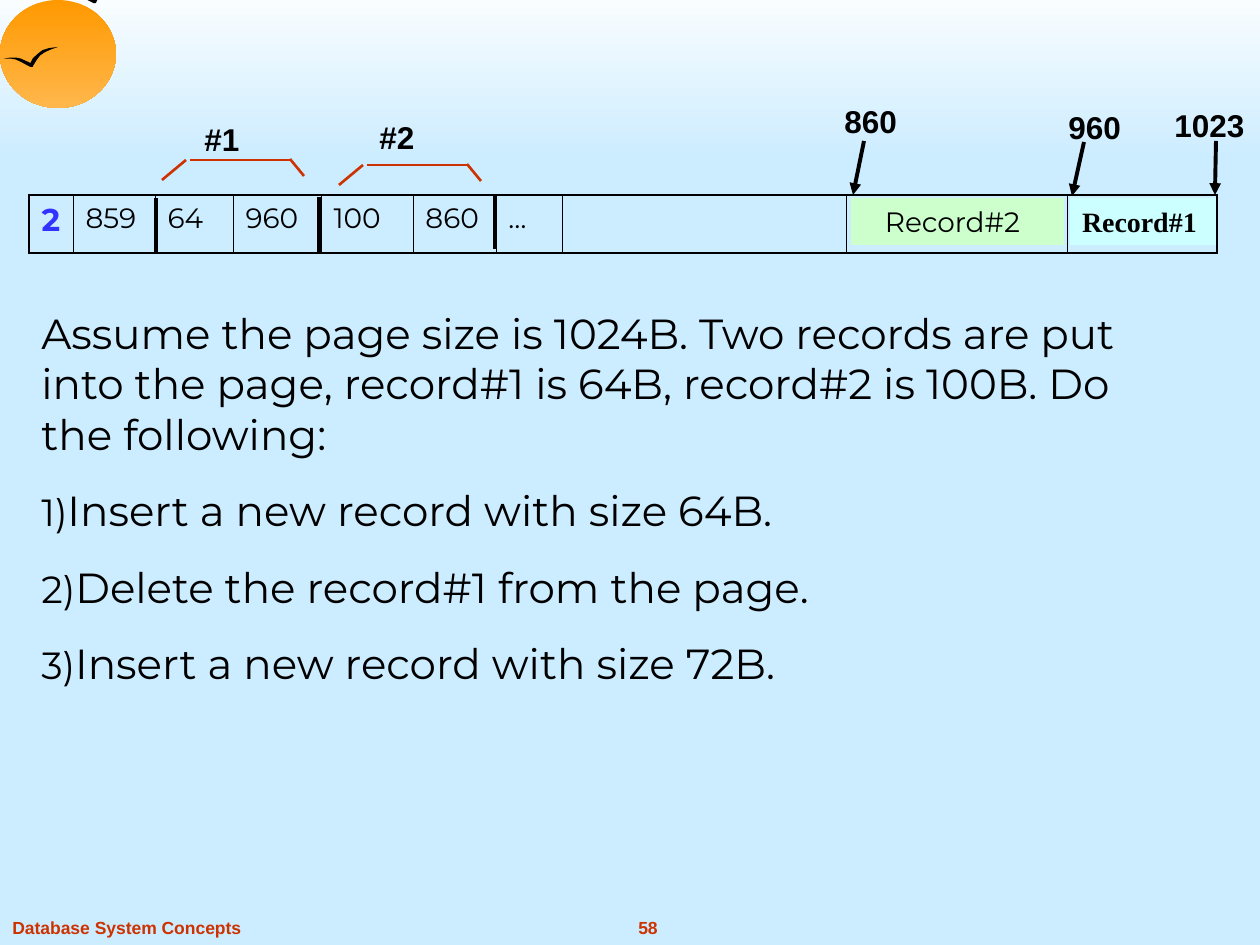
from lxml import etree
from pptx import Presentation
from pptx.dml.color import RGBColor
from pptx.enum.shapes import MSO_CONNECTOR, MSO_SHAPE
from pptx.enum.text import MSO_ANCHOR, MSO_AUTO_SIZE, PP_ALIGN
from pptx.oxml.ns import qn
from pptx.util import Pt

PX = 914400 / 126
STRAIGHT = MSO_CONNECTOR.STRAIGHT
RECT, OVAL = MSO_SHAPE.RECTANGLE, MSO_SHAPE.OVAL
TOP, GROW = MSO_ANCHOR.TOP, MSO_AUTO_SIZE.SHAPE_TO_FIT_TEXT
LEFT, CENTER = PP_ALIGN.LEFT, PP_ALIGN.CENTER

COLORS = {
    "sky": "CCECFF", "white": "FFFFFF", "sun": "FF9900", "sun_low": "FFB74C",
    "black": "000000", "red": "CC3300", "blue": "3333FF",
    "green": "CCFFCC", "cyan": "CCFFFF",
}
FOOTER = {"name": "Arial", "size": Pt(10), "bold": True, "color": "red"}
LABEL = {"name": "Arial", "size": Pt(18), "bold": True, "color": "black"}
CELL = {"name": "Montserrat", "size": Pt(16), "bold": False, "color": "black"}
COUNT = {"name": "Montserrat", "size": Pt(18), "bold": True, "color": "blue"}
RECORD = {"name": "Times New Roman", "size": Pt(16), "bold": True, "color": "black"}
BODY = {"name": "Montserrat", "size": Pt(24), "bold": False, "color": "black"}

BIRD = [(0, 58), (12, 53), (22, 53), (31, 58), (49, 80), (53, 58), (61, 37),
        (71, 16), (84, 5), (100, 0), (88, 11), (76, 26), (67, 42), (61, 63),
        (55, 89), (53, 100), (49, 100), (41, 89), (31, 74), (22, 63), (12, 58)]


def px(*values):
    return [round(v * PX) for v in values]


def rgb(name):
    return RGBColor.from_string(COLORS[name])


def format_run(r, style):
    for key, value in style.items():
        if key == "color":
            r.font.color.rgb = rgb(value)
        else:
            setattr(r.font, key, value)


def write(tf, lines, style, align=LEFT):
    tf.word_wrap = True
    tf.vertical_anchor = TOP
    for i, line in enumerate(lines):
        p = tf.paragraphs[0] if i == 0 else tf.add_paragraph()
        p.alignment = align
        r = p.add_run()
        r.text = line
        format_run(r, style)


def add_text(s, box, lines, style, align=LEFT):
    tf = s.shapes.add_textbox(*px(*box)).text_frame
    write(tf, lines, style, align)
    tf.auto_size = GROW
    return tf


def add_filled(s, kind, box, *stops):
    sp = s.shapes.add_shape(kind, *px(*box))
    sp.shadow.inherit = False
    sp.line.fill.background()
    if len(stops) == 1:
        sp.fill.solid()
        sp.fill.fore_color.rgb = rgb(stops[0])
    else:
        sp.fill.gradient()
        sp.fill.gradient_angle = 270
        for stop, name in zip(sp.fill.gradient_stops, stops):
            stop.color.rgb = rgb(name)
    return sp


def add_line(shapes, points, color, width, arrow=False):
    ln = shapes.add_connector(STRAIGHT, *px(*points))
    ln.line.color.rgb = rgb(color)
    ln.line.width = Pt(width)
    if arrow:
        etree.SubElement(ln.line._ln, qn("a:tailEnd"), type="triangle")
    etree.SubElement(ln._element.spPr, qn("a:effectLst"))


def add_bird(s, x, y, w, h):
    fb = s.shapes.build_freeform(*BIRD[0], scale=(w * PX / 100, h * PX / 100))
    fb.add_line_segments(BIRD[1:], close=True)
    sp = fb.convert_to_shape(*px(x, y))
    sp.shadow.inherit = False
    sp.fill.solid()
    sp.fill.fore_color.rgb = rgb("black")
    sp.line.fill.background()


def add_backdrop(s):
    s.background.fill.solid()
    s.background.fill.fore_color.rgb = rgb("sky")
    add_filled(s, RECT, (0, -21, 1260, 181), "white", "sky")
    add_filled(s, OVAL, (0, 0, 116, 108), "sun", "sun_low")
    add_bird(s, 4, 47, 54, 20)
    add_bird(s, 62, -21, 64, 24)
    add_text(s, (593, 911, 110, 34), ["58"], FOOTER, CENTER)
    add_text(s, (0, 911, 275, 34), ["Database System Concepts"], FOOTER)


def add_border(cell, side, width):
    ln = etree.SubElement(cell._tc.get_or_add_tcPr(), qn("a:" + side), w=str(Pt(width)))
    fill = etree.SubElement(ln, qn("a:solidFill"))
    etree.SubElement(fill, qn("a:srgbClr"), val=COLORS["black"])


def add_page_table(s, x, y, h):
    widths = [44, 82, 78, 88, 92, 83, 67, 284, 221, 149]
    texts = ["2", "859", "64", "960", "100", "860", "…", "", "", ""]
    table = s.shapes.add_table(1, len(widths), *px(x, y, sum(widths), h)).table
    table.first_row = table.horz_banding = False
    table.rows[0].height = px(h)[0]
    last = len(widths) - 1
    for i, (width, text) in enumerate(zip(widths, texts)):
        table.columns[i].width = px(width)[0]
        cell = table.cell(0, i)
        add_border(cell, "lnL", 1.08 if i == 0 else 0.45)
        add_border(cell, "lnR", 1.08 if i == last else 0.45)
        add_border(cell, "lnT", 1.08)
        add_border(cell, "lnB", 1.08)
        cell.fill.background()
        if text:
            write(cell.text_frame, [text], COUNT if i == 0 else CELL)


def add_record(s, box, text, fill, style, inset):
    tf = add_filled(s, RECT, box, fill).text_frame
    write(tf, [text], style)
    tf.margin_left = px(inset)[0]


def add_pointer(s, text, label_x, label_y, arrow):
    add_text(s, (label_x, label_y, 98, 50), [text], LABEL)
    add_line(s.shapes, arrow, "black", 2.25, True)


def add_slot(s, text, x, y, label_x, label_y):
    group = s.shapes.add_group_shape()
    for x1, y1, x2, y2 in [(0, 20, 24, 0), (28, 0, 128, 0), (128, -1, 142, 16)]:
        add_line(group.shapes, (x + x1, y + y1, x + x2, y + y2), "red", 1.5)
    add_text(s, (label_x, label_y, 98, 50), [text], LABEL)


def add_page_diagram(s, x, y):
    add_page_table(s, x, y, 58)
    add_record(s, (x + 822, y + 3, 213, 47), "Record#2", "green", CELL, 34)
    add_record(s, (x + 1041, y + 3, 146, 47), "Record#1", "cyan", RECORD, 12)
    for text, dx, dy, arrow in [
        ("960", 1027, -93, (1055, -53, 1043, 1)),
        ("1023", 1133, -95, (1187, -54, 1186, 0)),
        ("860", 803, -99, (835, -54, 824, 0)),
    ]:
        x1, y1, x2, y2 = arrow
        add_pointer(s, text, x + dx, y + dy, (x + x1, y + y1, x + x2, y + y2))
    for dx, dy in [(127, 3), (290, 2), (466, -1)]:
        add_line(s.shapes, (x + dx, y + dy, x + dx, y + dy + 55), "black", 2.25)
    add_slot(s, "#1", x + 133, y - 35, x + 163, y - 81)
    add_slot(s, "#2", x + 310, y - 30, x + 338, y - 83)


def add_exercise(s, box):
    tf = add_text(s, box, [
        "Assume the page size is 1024B. Two records are put into the page, "
        "record#1 is 64B, record#2 is 100B. Do the following:",
        "Insert a new record with size 64B.",
        "Delete the record#1 from the page.",
        "Insert a new record with size 72B.",
    ], BODY)
    for p in tf.paragraphs[1:]:
        p.space_before = Pt(15)
        pPr = p._p.get_or_add_pPr()
        pPr.set("marL", "0")
        pPr.set("indent", "0")
        color = etree.SubElement(pPr, qn("a:buClr"))
        etree.SubElement(color, qn("a:srgbClr"), val=COLORS["black"])
        etree.SubElement(pPr, qn("a:buSzPct"), val="90000")
        etree.SubElement(pPr, qn("a:buFont"), typeface="Montserrat")
        etree.SubElement(pPr, qn("a:buAutoNum"), type="arabicParenR")


def main():
    prs = Presentation()
    prs.slide_width, prs.slide_height = px(1260, 945)
    s = prs.slides.add_slide(prs.slide_layouts[6])
    add_backdrop(s)
    add_page_diagram(s, 29, 195)
    add_exercise(s, (29, 301, 1166, 394))
    prs.save("out.pptx")


if __name__ == "__main__":
    main()
